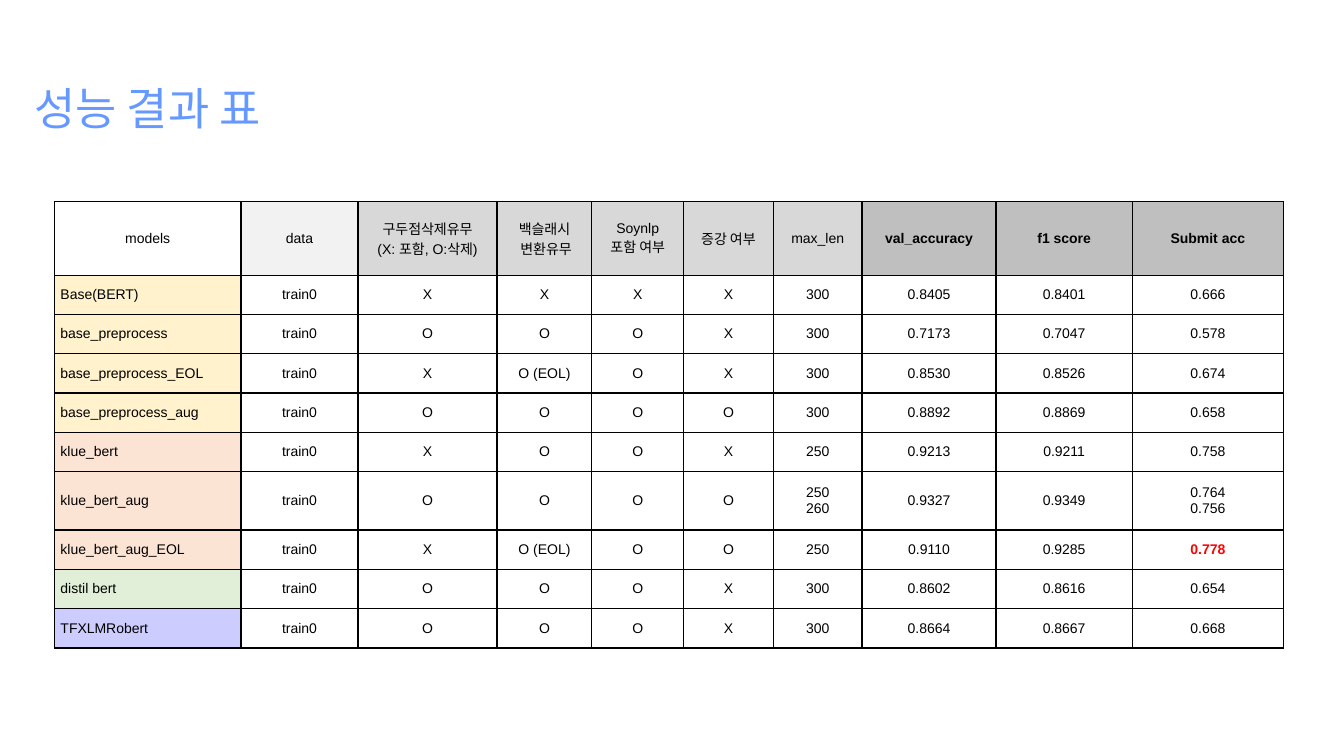
import pptx
import pptx.util
import pptx.dml.color
import pptx.enum.text
import pptx.oxml.ns
import lxml.etree

Inches, Pt = pptx.util.Inches, pptx.util.Pt
ALIGN, ANCHOR = pptx.enum.text.PP_ALIGN, pptx.enum.text.MSO_ANCHOR


def color(code):
    return pptx.dml.color.RGBColor.from_string(code)


def border(cell, code, width):
    props = cell._tc.get_or_add_tcPr()
    for side in ("lnL", "lnR", "lnT", "lnB"):
        line = lxml.etree.SubElement(
            props, pptx.oxml.ns.qn("a:" + side), w=str(Pt(width)))
        fill = lxml.etree.SubElement(line, pptx.oxml.ns.qn("a:solidFill"))
        lxml.etree.SubElement(fill, pptx.oxml.ns.qn("a:srgbClr"), val=code)


deck = pptx.Presentation()
deck.slide_width, deck.slide_height = Inches(13.33), Inches(7.5)
slide = deck.slides.add_slide(deck.slide_layouts[5])

# Title
title = slide.shapes.title
title.left, title.top = Inches(0.24), Inches(0.81)
title.width, title.height = Inches(12.42), Inches(0.83)
title.text_frame.vertical_anchor = ANCHOR.TOP
para = title.text_frame.paragraphs[0]
para.alignment = ALIGN.LEFT
para.line_spacing = 0.9
run = para.add_run()
run.text = "성능 결과 표"
run.font.size = Pt(32)
run.font.name = "Calibri"
run.font.color.rgb = color("6699FF")

# Results: model, four options, max_len and three scores
heads = ["models", "data", "구두점삭제유무\n(X: 포함, O:삭제)", "백슬래시\n 변환유무",
         "Soynlp\n포함 여부", "증강 여부", "max_len",
         "val_accuracy", "f1 score", "Submit acc"]
tints = [None, "F2F2F2"] + ["D8D8D8"] * 5 + ["BFBFBF"] * 3
models = [
    ("Base(BERT)", "X", "X", "X", "X", "300", "0.8405", "0.8401", "0.666"),
    ("base_preprocess", "O", "O", "O", "X", "300", "0.7173", "0.7047", "0.578"),
    ("base_preprocess_EOL", "X", "O (EOL)", "O", "X", "300", "0.8530", "0.8526", "0.674"),
    ("base_preprocess_aug", "O", "O", "O", "O", "300", "0.8892", "0.8869", "0.658"),
    ("klue_bert", "X", "O", "O", "X", "250", "0.9213", "0.9211", "0.758"),
    ("klue_bert_aug", "O", "O", "O", "O", "250\n260", "0.9327", "0.9349", "0.764\n0.756"),
    ("klue_bert_aug_EOL", "X", "O (EOL)", "O", "O", "250", "0.9110", "0.9285", "0.778"),
    ("distil bert", "O", "O", "O", "X", "300", "0.8602", "0.8616", "0.654"),
    ("TFXLMRobert", "O", "O", "O", "X", "300", "0.8664", "0.8667", "0.668"),
]
groups = ["FFF2CC"] * 4 + ["FBE4D4"] * 3 + ["E1EFD8", "CCCCFF"]
rows = [heads] + [(name, "train0", *rest) for name, *rest in models]
best = "0.778"

# Table grid
widths = [1.85, 1.16, 1.38, 0.94, 0.91, 0.89, 0.88, 1.33, 1.35, 1.5]
heights = [0.73] + [0.39] * 5 + [0.58] + [0.39] * 3
table = slide.shapes.add_table(
    len(rows), len(heads), Inches(0.54), Inches(2),
    Inches(sum(widths)), Inches(sum(heights))).table
table.first_row = table.horz_banding = False
for col, width in zip(table.columns, widths):
    col.width = Inches(width)
for row, height in zip(table.rows, heights):
    row.height = Inches(height)

# Table cells
for r, row in enumerate(rows):
    for c, text in enumerate(row):
        cell = table.cell(r, c)
        cell.margin_left = cell.margin_right = Inches(0.06)
        cell.margin_top = cell.margin_bottom = Inches(0.03)
        cell.vertical_anchor = ANCHOR.MIDDLE
        border(cell, "000000", 1)
        tint = tints[c] if r == 0 else groups[r - 1] if c == 0 else None
        if tint:
            cell.fill.solid()
            cell.fill.fore_color.rgb = color(tint)
        else:
            cell.fill.background()
        para = cell.text_frame.paragraphs[0]
        para.alignment = ALIGN.LEFT if r and c == 0 else ALIGN.CENTER
        for i, part in enumerate(text.split("\n")):
            if i:
                para.add_line_break()
            run = para.add_run()
            run.text = part
            run.font.size = Pt(10)
            run.font.name = "Arial"
            run.font.bold = text == best or (r == 0 and c >= 7)
            run.font.color.rgb = color("FF0000" if text == best else "000000")

deck.save("out.pptx")
